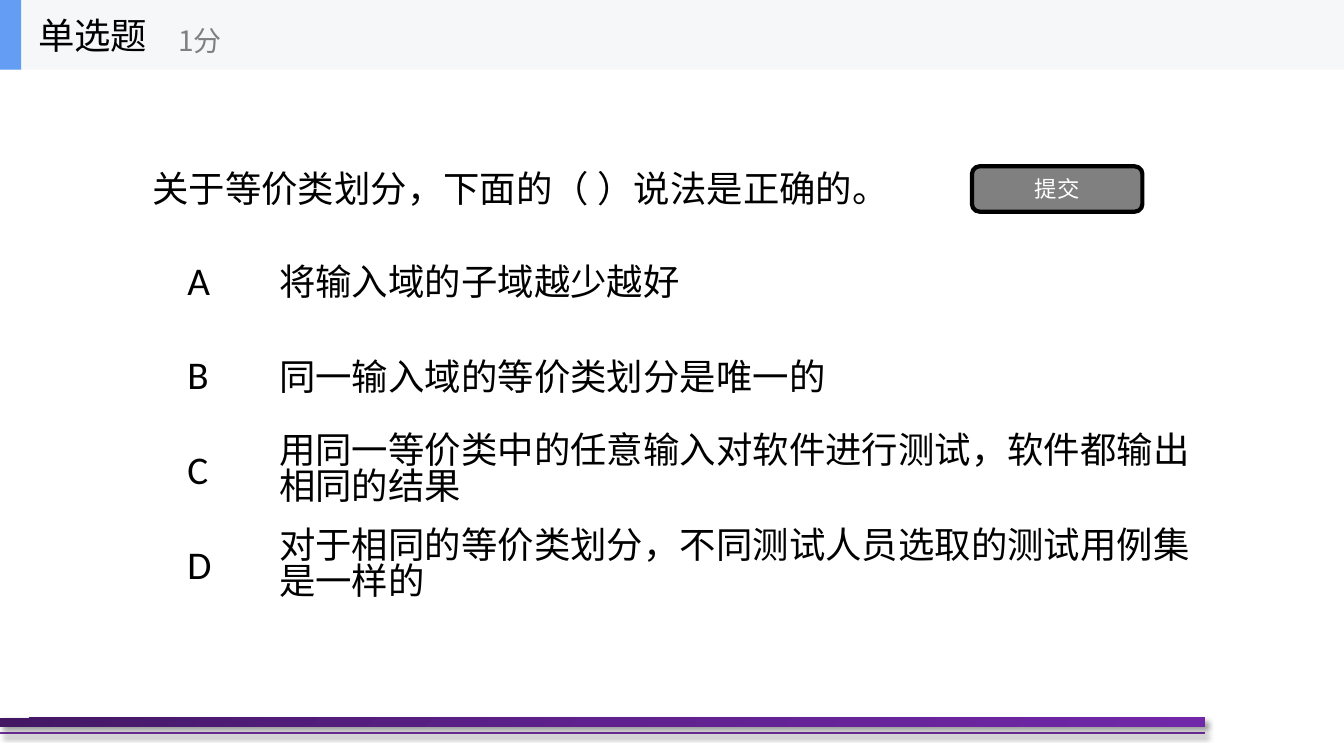
"""Build a single-choice quiz slide about equivalence class partitioning."""
import pptx
import pptx.dml.color
import pptx.enum.shapes
import pptx.enum.text
import pptx.oxml
import pptx.oxml.ns
import pptx.util

Inches = pptx.util.Inches
Pt = pptx.util.Pt
RGBColor = pptx.dml.color.RGBColor
MSO_SHAPE = pptx.enum.shapes.MSO_SHAPE
MSO_ANCHOR = pptx.enum.text.MSO_ANCHOR
qn = pptx.oxml.ns.qn

COLORS = {
    "text": "000000", "muted": "808080", "white": "FFFFFF",
    "header": "F6F7F8", "accent": "639EF4", "rule": "7030A0",
    "bar_start": "431764", "bar_middle": "5F218E", "bar_end": "7128A8",
}
FONT = "Noto Sans CJK SC"
NAMESPACE = 'xmlns:a="http://schemas.openxmlformats.org/drawingml/2006/main"'
SHADOW = (
    f'<a:effectLst {NAMESPACE}><a:outerShdw blurRad="50800" dist="38100" dir="2700000" '
    'algn="tl" rotWithShape="0"><a:srgbClr val="000000"><a:alpha val="40000"/></a:srgbClr>'
    '</a:outerShdw></a:effectLst>'
)


def style_text(shape, text, size, color="text", font=FONT, wrap=True):
    """Fill a shape with vertically centred text, one paragraph per line."""
    frame = shape.text_frame
    frame.word_wrap = wrap
    frame.vertical_anchor = MSO_ANCHOR.MIDDLE
    frame.text = text
    for paragraph in frame.paragraphs:
        for run in paragraph.runs:
            run.font.size = Pt(size)
            run.font.name = font
            run.font.color.rgb = RGBColor.from_string(COLORS[color])
            east_asian = pptx.oxml.parse_xml(f'<a:ea {NAMESPACE} typeface="{font}"/>')
            run.font.fill
            run._r.rPr.find(qn("a:latin")).addnext(east_asian)
    return frame


def add_block(shapes, kind, left, top, width, height, fill=None):
    """Add a preset shape without outline or shadow."""
    shape = shapes.add_shape(kind, Inches(left), Inches(top), Inches(width), Inches(height))
    shape.line.fill.background()
    if fill:
        shape.shadow.inherit = False
        shape.fill.solid()
        shape.fill.fore_color.rgb = RGBColor.from_string(COLORS[fill])
    return shape


presentation = pptx.Presentation()
presentation.slide_width = Inches(13.33)
presentation.slide_height = Inches(7.5)
slide = presentation.slides.add_slide(presentation.slide_layouts[6])
shapes = slide.shapes

footer_line = shapes.add_connector(
    pptx.enum.shapes.MSO_CONNECTOR.STRAIGHT, 0, Inches(7.27), Inches(11.95), Inches(7.27))
footer_line.line.color.rgb = RGBColor.from_string(COLORS["rule"])
footer_line.line.width = Pt(1.5)

footer_bar = add_block(shapes, MSO_SHAPE.RECTANGLE, 0, 7.12, 11.95, 0.09)
footer_bar.fill.gradient()
footer_bar.fill.gradient_angle = 315
stops = footer_bar.element.spPr.find(".//" + qn("a:gsLst"))
for stop in list(stops):
    stops.remove(stop)
for position, name in ((0, "bar_start"), (50, "bar_middle"), (100, "bar_end")):
    stops.append(pptx.oxml.parse_xml(
        f'<a:gs {NAMESPACE} pos="{position * 1000}"><a:srgbClr val="{COLORS[name]}"/></a:gs>'))
for shape in (footer_line, footer_bar):
    shape.element.spPr.append(pptx.oxml.parse_xml(SHADOW))

question = shapes.add_textbox(Inches(1.33), Inches(0.69), Inches(10.67), Inches(2.34))
style_text(question, " 关于等价类划分，下面的（ ）说法是正确的。", 26)

options = [
    ("将输入域的子域越少越好", 1),
    ("同一输入域的等价类划分是唯一的", 1),
    ("用同一等价类中的任意输入对软件进行测试，软件都输出相同的结果", 0.83),
    ("对于相同的等价类划分，不同测试人员选取的测试用例集是一样的", 0.83),
]
for index, (option, spacing) in enumerate(options):
    option_box = shapes.add_textbox(
        Inches(2.67), Inches(2.44 + 0.94 * index), Inches(9.33), Inches(0.7))
    style_text(option_box, option, 26).paragraphs[0].line_spacing = spacing

submit_button = add_block(shapes, MSO_SHAPE.ROUNDED_RECTANGLE, 9.64, 1.65, 1.69, 0.45, "muted")
submit_button.line.color.rgb = RGBColor.from_string(COLORS["text"])
submit_button.line.width = Pt(3)
button_frame = style_text(submit_button, "提交", 16, "white")
button_frame.paragraphs[0].alignment = pptx.enum.text.PP_ALIGN.CENTER

header = shapes.add_group_shape().shapes
add_block(header, MSO_SHAPE.RECTANGLE, 0, 0, 13.33, 0.69, "header")
add_block(header, MSO_SHAPE.RECTANGLE, 0, 0, 0.21, 0.69, "accent")
question_type = header.add_textbox(Inches(0.28), 0, Inches(2.08), Inches(0.69))
style_text(question_type, "单选题", 26, wrap=False)
score = header.add_textbox(Inches(1.67), Inches(0.12), Inches(2.5), Inches(0.56))
style_text(score, "1分", 20, "muted", wrap=False)

letters = shapes.add_textbox(Inches(1.76), Inches(2.49), Inches(0.44), Inches(3.4))
letter_frame = style_text(letters, "A\nB\nC\nD", 28, font="Calibri", wrap=False)
letter_frame.vertical_anchor = MSO_ANCHOR.TOP
for paragraph in letter_frame.paragraphs[1:]:
    paragraph.space_before = Pt(34)

presentation.save("out.pptx")
